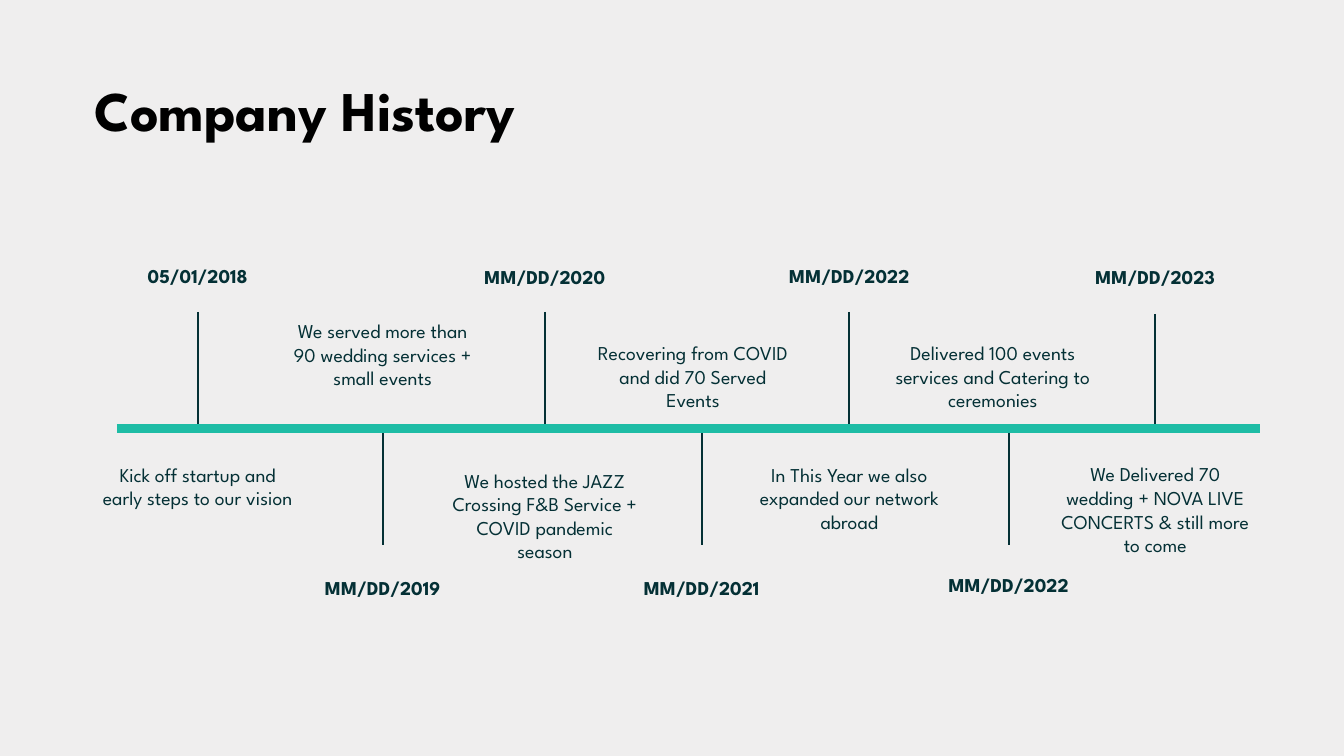
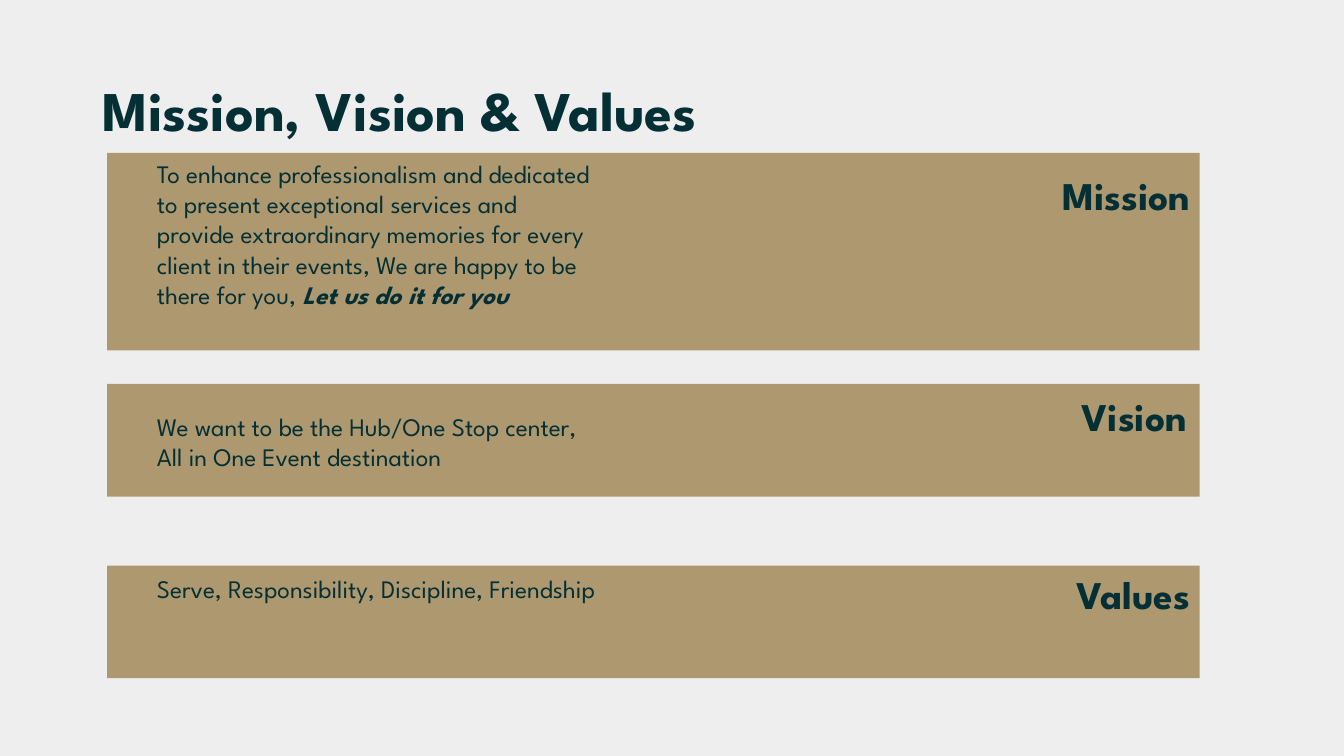
from dataclasses import dataclass

from lxml import etree
from pptx import Presentation
from pptx.dml.color import RGBColor
from pptx.enum.shapes import MSO_CONNECTOR, MSO_SHAPE
from pptx.enum.text import MSO_ANCHOR, MSO_AUTO_SIZE, PP_ALIGN
from pptx.oxml.ns import qn
from pptx.slide import Slide
from pptx.text.text import TextFrame
from pptx.util import Pt

LEFT, CENTER, RIGHT = PP_ALIGN.LEFT, PP_ALIGN.CENTER, PP_ALIGN.RIGHT
MIDDLE, TOP = MSO_ANCHOR.MIDDLE, MSO_ANCHOR.TOP
FIXED, GROW = MSO_AUTO_SIZE.NONE, MSO_AUTO_SIZE.SHAPE_TO_FIT_TEXT
RECT, STRAIGHT = MSO_SHAPE.RECTANGLE, MSO_CONNECTOR.STRAIGHT
TITLE_ONLY = 5


@dataclass(frozen=True)
class Theme:
    font: str = "League Spartan"
    paper: RGBColor = RGBColor(0xEF, 0xEE, 0xEE)
    black: RGBColor = RGBColor(0, 0, 0)
    ink: RGBColor = RGBColor(0x04, 0x30, 0x35)
    teal: RGBColor = RGBColor(0x1E, 0xBC, 0xA5)
    tan: RGBColor = RGBColor(0xAD, 0x98, 0x6F)
    title: float = 40
    head: float = 28
    body: float = 18
    note: float = 14


THEME = Theme()


@dataclass(frozen=True)
class Event:
    """A dated tick at x; shift moves its note off the tick."""
    x: float
    date: str
    date_top: float
    note: str
    note_top: float
    above: bool
    shift: float = 0
    width: float = 150.5
    height: float = 58.5
    drop: float = 0


@dataclass(frozen=True)
class Band:
    top: float
    height: float
    head: str
    head_top: float
    head_right: float
    text: str
    text_top: float
    text_width: float = 331
    tail: str = ""


AXIS, TICK, DATE_W = 306, 83.25, 150.5
AXIS_ENDS = (83.5, 900)
BAND_X, BAND_W, TEXT_X = 76.5, 780.5, 105

EVENTS = (
    Event(141.25, "05/01/2018", 185,
          "Kick off startup and early steps to our vision", 327, True),
    Event(273.4, "MM/DD/2019", 407.5,
          "We served more than 90 wedding services + small events", 224.5, False),
    Event(389.25, "MM/DD/2020", 185.75,
          "We hosted the JAZZ Crossing F&B Service + COVID pandemic season",
          331.25, True, height=75),
    Event(501.25, "MM/DD/2021", 407.5,
          "Recovering from COVID and did 70 Served Events", 240, False, shift=-6.25),
    Event(606.75, "MM/DD/2022", 185,
          "In This Year we also expanded our network abroad", 327, True),
    Event(720.5, "MM/DD/2022", 406,
          "Delivered 100 events services and Catering to ceremonies",
          240, False, shift=-11.25, width=164),
    Event(825.25, "MM/DD/2023", 185.75,
          "We Delivered 70 wedding + NOVA LIVE CONCERTS & still more to come",
          326.75, True, height=75, drop=1.5),
)

BANDS = (
    Band(109.25, 141, "Mission", 119, 857,
         "To enhance professionalism and dedicated to present exceptional services "
         "and provide extraordinary memories for every client in their events, "
         "We are happy to be there for you, ", 109.5, tail="Let us do it for you"),
    Band(274.25, 80.5, "Vision", 276.5, 854.75,
         "We want to be the Hub/One Stop center, All in One Event destination", 290),
    Band(404, 80.5, "Values", 404, 857,
         "Serve, Responsibility, Discipline, Friendship", 406, text_width=381),
)


def write(frame: TextFrame, text: str, *, size: float, color: RGBColor = THEME.ink,
          bold: bool = False, italic: bool = False, align: PP_ALIGN = LEFT) -> None:
    """Append a formatted run to the first paragraph."""
    para = frame.paragraphs[0]
    para.alignment = align
    run = para.add_run()
    run.text = text
    font = run.font
    font.name, font.size = THEME.font, Pt(size)
    font.bold, font.italic = bold, italic
    font.color.rgb = color


def add_box(slide: Slide, x: float, y: float, width: float, height: float) -> TextFrame:
    box = slide.shapes.add_textbox(Pt(x), Pt(y), Pt(width), Pt(height))
    frame = box.text_frame
    frame.word_wrap = True
    frame.auto_size = GROW
    frame.vertical_anchor = TOP
    return frame


def add_line(slide: Slide, x1: float, y1: float, x2: float, y2: float,
             color: RGBColor, width: float) -> None:
    line = slide.shapes.add_connector(STRAIGHT, Pt(x1), Pt(y1), Pt(x2), Pt(y2))
    line.line.color.rgb = color
    line.line.width = Pt(width)
    etree.SubElement(line._element.spPr, qn("a:effectLst"))


def add_slide(deck: Presentation, text: str, x: float, color: RGBColor) -> Slide:
    slide = deck.slides.add_slide(deck.slide_layouts[TITLE_ONLY])
    title = slide.shapes.title
    title.left, title.top = Pt(x), Pt(28.75)
    title.width, title.height = Pt(828), Pt(104.5)
    frame = title.text_frame
    frame.word_wrap = True
    frame.auto_size = FIXED
    frame.vertical_anchor = MIDDLE
    write(frame, text, size=THEME.title, color=color, bold=True)
    frame.paragraphs[0].line_spacing = 0.9
    return slide


def add_event(slide: Slide, event: Event) -> None:
    start = AXIS - TICK if event.above else AXIS
    start += event.drop
    add_line(slide, event.x, start, event.x, start + TICK, THEME.ink, 1.5)
    date = add_box(slide, event.x - DATE_W / 2, event.date_top, DATE_W, 24.25)
    write(date, event.date, size=THEME.note, bold=True, align=CENTER)
    left = event.x + event.shift - event.width / 2
    note = add_box(slide, left, event.note_top, event.width, event.height)
    write(note, event.note, size=THEME.note, align=CENTER)


def add_band(slide: Slide, band: Band) -> None:
    bar = slide.shapes.add_shape(RECT, Pt(BAND_X), Pt(band.top),
                                 Pt(BAND_W), Pt(band.height))
    bar.shadow.inherit = False
    bar.fill.solid()
    bar.fill.fore_color.rgb = THEME.tan
    bar.line.fill.background()
    head = add_box(slide, band.head_right - DATE_W, band.head_top, DATE_W, 41)
    write(head, band.head, size=THEME.head, bold=True, align=RIGHT)
    body = add_box(slide, TEXT_X, band.text_top, band.text_width, 29)
    write(body, band.text, size=THEME.body)
    if band.tail:
        write(body, band.tail, size=THEME.body, bold=True, italic=True)


def main() -> None:
    deck = Presentation()
    deck.slide_width, deck.slide_height = Pt(960), Pt(540)
    paper = deck.slide_master.background.fill
    paper.solid()
    paper.fore_color.rgb = THEME.paper

    story = add_slide(deck, "Company History", 60, THEME.black)
    for event in EVENTS:
        add_event(story, event)
    start, end = AXIS_ENDS
    add_line(story, start, AXIS, end, AXIS, THEME.teal, 6)

    goals = add_slide(deck, "Mission, Vision & Values", 66, THEME.ink)
    for band in BANDS:
        add_band(goals, band)

    deck.save("out.pptx")


if __name__ == "__main__":
    main()
